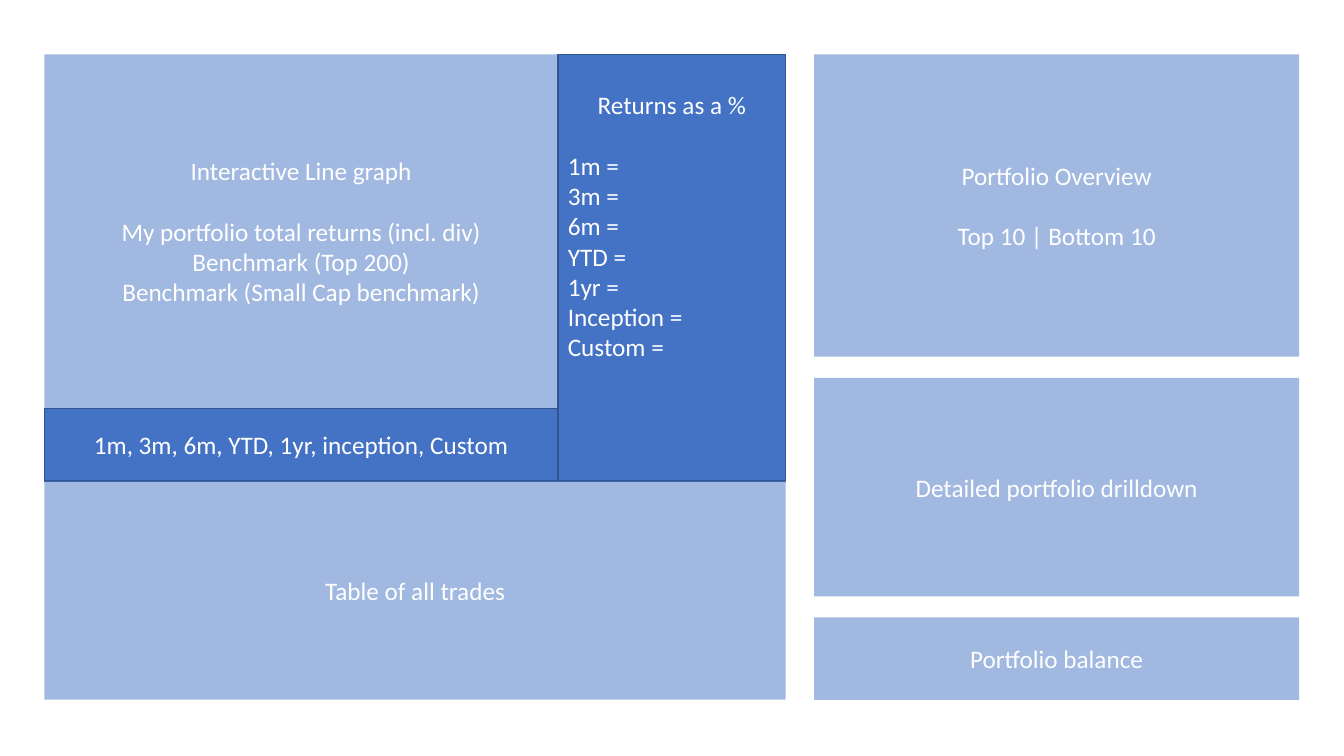
from lxml import etree
from pptx import Presentation
from pptx.dml.color import RGBColor
from pptx.enum.shapes import MSO_SHAPE
from pptx.enum.text import MSO_ANCHOR, PP_ALIGN
from pptx.oxml.ns import qn
from pptx.util import Cm, Pt

RECTANGLE = MSO_SHAPE.RECTANGLE
TOP, MIDDLE = MSO_ANCHOR.TOP, MSO_ANCHOR.MIDDLE
LEFT, CENTER = PP_ALIGN.LEFT, PP_ALIGN.CENTER

# Content: an optional heading, then body lines
LINE_GRAPH = ("Interactive Line graph", [
    "My portfolio total returns (incl. div)",
    "Benchmark (Top 200)",
    "Benchmark (Small Cap benchmark)",
])
PERIOD_PICKER = (None, ["1m, 3m, 6m, YTD, 1yr, inception, Custom"])
RETURNS = ("Returns as a %", [
    "1m =", "3m =", "6m =", "YTD =", "1yr =", "Inception =", "Custom =",
])
TRADES = (None, ["Table of all trades"])
# Right column, top to bottom: content and height in cm
PORTFOLIO_PANELS = [
    (("Portfolio Overview", ["Top 10 | Bottom 10"]), 7.62),
    ((None, ["Detailed portfolio drilldown"]), 5.51),
    ((None, ["Portfolio balance"]), 2.08),
]

COLOURS = {"panel": "4472C4", "outline": "325491", "text": "FFFFFF"}
FONT, TEXT_SIZE, HEADING_GAP = "Calibri", Pt(18), Pt(21.7)

# Layout in cm
MARGIN_LEFT, MARGIN_TOP = 1.12, 1.37
GRAPH_WIDTH, GRAPH_HEIGHT = 12.94, 8.92
PICKER_HEIGHT, RETURNS_WIDTH, TRADES_HEIGHT = 1.83, 5.74, 5.51
COLUMN_GAP, PANEL_GAP, PORTFOLIO_WIDTH = 0.72, 0.53, 12.22
RETURNS_INSET = 0.89

presentation = Presentation()
presentation.slide_width, presentation.slide_height = Cm(33.87), Cm(19.05)
slide = presentation.slides.add_slide(presentation.slide_layouts[6])


def add_panel(content, left, top, width, height, solid=False,
              body_align=CENTER, anchor=MIDDLE):
    panel = slide.shapes.add_shape(
        RECTANGLE, Cm(left), Cm(top), Cm(width), Cm(height))
    panel.shadow.inherit = False
    panel.fill.solid()
    panel.fill.fore_color.rgb = RGBColor.from_string(COLOURS["panel"])
    if solid:
        panel.line.color.rgb = RGBColor.from_string(COLOURS["outline"])
        panel.line.width = Pt(1)
    else:
        panel.line.fill.background()
        fill_colour = panel.fill._xPr.find(qn("a:solidFill"))[0]
        etree.SubElement(fill_colour, qn("a:alpha")).set("val", "50000")

    frame = panel.text_frame
    frame.word_wrap = True
    frame.vertical_anchor = anchor
    heading, body = content
    lines = [heading, *body] if heading else body
    for index, line in enumerate(lines):
        paragraph = frame.add_paragraph() if index else frame.paragraphs[0]
        is_heading = bool(heading) and index == 0
        paragraph.alignment = CENTER if is_heading else body_align
        if is_heading:
            paragraph.space_after = HEADING_GAP
        run = paragraph.add_run()
        run.text = line
        run.font.name, run.font.size = FONT, TEXT_SIZE
        run.font.color.rgb = RGBColor.from_string(COLOURS["text"])
    return panel


# Left block: graph, period picker, returns and trades
picker_top = MARGIN_TOP + GRAPH_HEIGHT
trades_top = picker_top + PICKER_HEIGHT
returns_left = MARGIN_LEFT + GRAPH_WIDTH
block_width = GRAPH_WIDTH + RETURNS_WIDTH

add_panel(LINE_GRAPH, MARGIN_LEFT, MARGIN_TOP, GRAPH_WIDTH, GRAPH_HEIGHT)
add_panel(PERIOD_PICKER, MARGIN_LEFT, picker_top, GRAPH_WIDTH, PICKER_HEIGHT,
          solid=True)
returns = add_panel(RETURNS, returns_left, MARGIN_TOP, RETURNS_WIDTH,
                    GRAPH_HEIGHT + PICKER_HEIGHT, solid=True,
                    body_align=LEFT, anchor=TOP)
returns.text_frame.margin_top = Cm(RETURNS_INSET)
add_panel(TRADES, MARGIN_LEFT, trades_top, block_width, TRADES_HEIGHT)

# Right column: portfolio panels
portfolio_left = MARGIN_LEFT + block_width + COLUMN_GAP
panel_top = MARGIN_TOP
for content, height in PORTFOLIO_PANELS:
    add_panel(content, portfolio_left, panel_top, PORTFOLIO_WIDTH, height)
    panel_top += height + PANEL_GAP

presentation.save("out.pptx")
